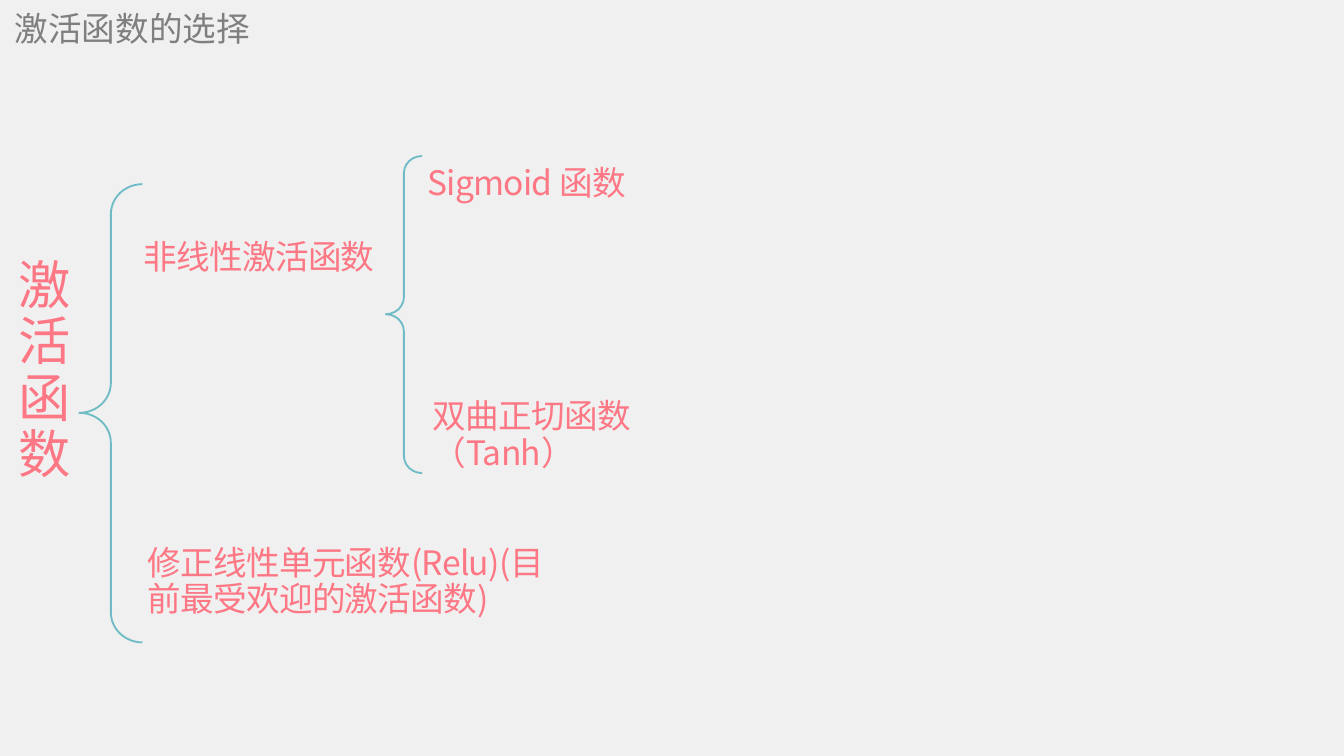
from lxml import etree
from pptx import Presentation
from pptx import util as u
from pptx.dml.color import RGBColor
from pptx.enum import shapes, text
from pptx.oxml.ns import qn

FONT = "Noto Sans CJK SC"
BACK = RGBColor(0xF0, 0xF0, 0xF0)
PINK = RGBColor(0xFD, 0x77, 0x84)
TEAL = RGBColor(0x70, 0xBC, 0xC6)
GRAY = RGBColor(0x7F, 0x7F, 0x7F)
WIDE = 10
HIGH = WIDE * 9 / 16

TITLE = "激活函数的选择"
# Text, box as (left, top, width, height) in inches, size in points
LABELS = [
    ("激活函数", (0.14, 1.92, 0.3, 1.7), 28),
    ("非线性激活函数", (1.07, 1.79, 1.93, 0.27), 18),
    ("修正线性单元函数(Relu)(目前最受欢迎的激活函数)", (1.1, 4.06, 3, 0.55), 18),
    ("Sigmoid 函数", (3.18, 1.24, 1.93, 0.27), 18),
    ("双曲正切函数（Tanh）", (3.22, 2.97, 1.58, 0.55), 18),
]
BRACES = [(0.59, 1.37, 0.47, 3.41), (2.87, 1.16, 0.27, 2.36)]


def inches(box):
    return [u.Inches(n) for n in box]


def write(shape, words, size=18, color=PINK, pad=0, fit=text.MSO_AUTO_SIZE.NONE,
          lead=None, after=None, track=None):
    """Fill a shape with one paragraph; track is letter spacing in points."""
    frame = shape.text_frame
    frame.word_wrap = True
    frame.auto_size = fit
    frame.vertical_anchor = text.MSO_ANCHOR.MIDDLE
    frame.margin_left = frame.margin_right = 0
    frame.margin_top = frame.margin_bottom = u.Inches(pad)
    para = frame.paragraphs[0]
    para.alignment = text.PP_ALIGN.LEFT
    para.space_before = u.Pt(0)
    if lead:
        para.line_spacing = lead
    if after:
        para.space_after = u.Pt(after)
    run = para.add_run()
    run.text = words
    font = run.font
    font.size, font.name = u.Pt(size), FONT
    font.color.rgb = color
    props = run._r.get_or_add_rPr()
    etree.SubElement(props, qn("a:ea")).set("typeface", FONT)
    if track:
        props.set("spc", str(round(track * 100)))


def brace(slide, box):
    shape = slide.shapes.add_shape(shapes.MSO_SHAPE.RIGHT_BRACE, *inches(box))
    shape.rotation = 180
    shape.adjustments[0], shape.adjustments[1] = 0.473, 0.501
    shape.shadow.inherit = False
    shape.fill.background()
    shape.line.color.rgb = TEAL
    shape.line.width = u.Pt(1)


def main():
    deck = Presentation()
    deck.slide_width, deck.slide_height = inches((WIDE, HIGH))
    slide = deck.slides.add_slide(deck.slide_layouts[5])
    slide.background.fill.solid()
    slide.background.fill.fore_color.rgb = BACK

    title = slide.shapes.title
    title.left, title.top, title.width, title.height = inches((0.11, 0, 2.33, 0.42))
    write(title, TITLE, color=GRAY, pad=0.05)

    for box in BRACES:
        brace(slide, box)
    for words, box, size in LABELS:
        write(slide.shapes.add_textbox(*inches(box)), words, size=size, lead=0.9,
              after=4.6, track=-0.4, fit=text.MSO_AUTO_SIZE.SHAPE_TO_FIT_TEXT)
    deck.save("out.pptx")


if __name__ == "__main__":
    main()
